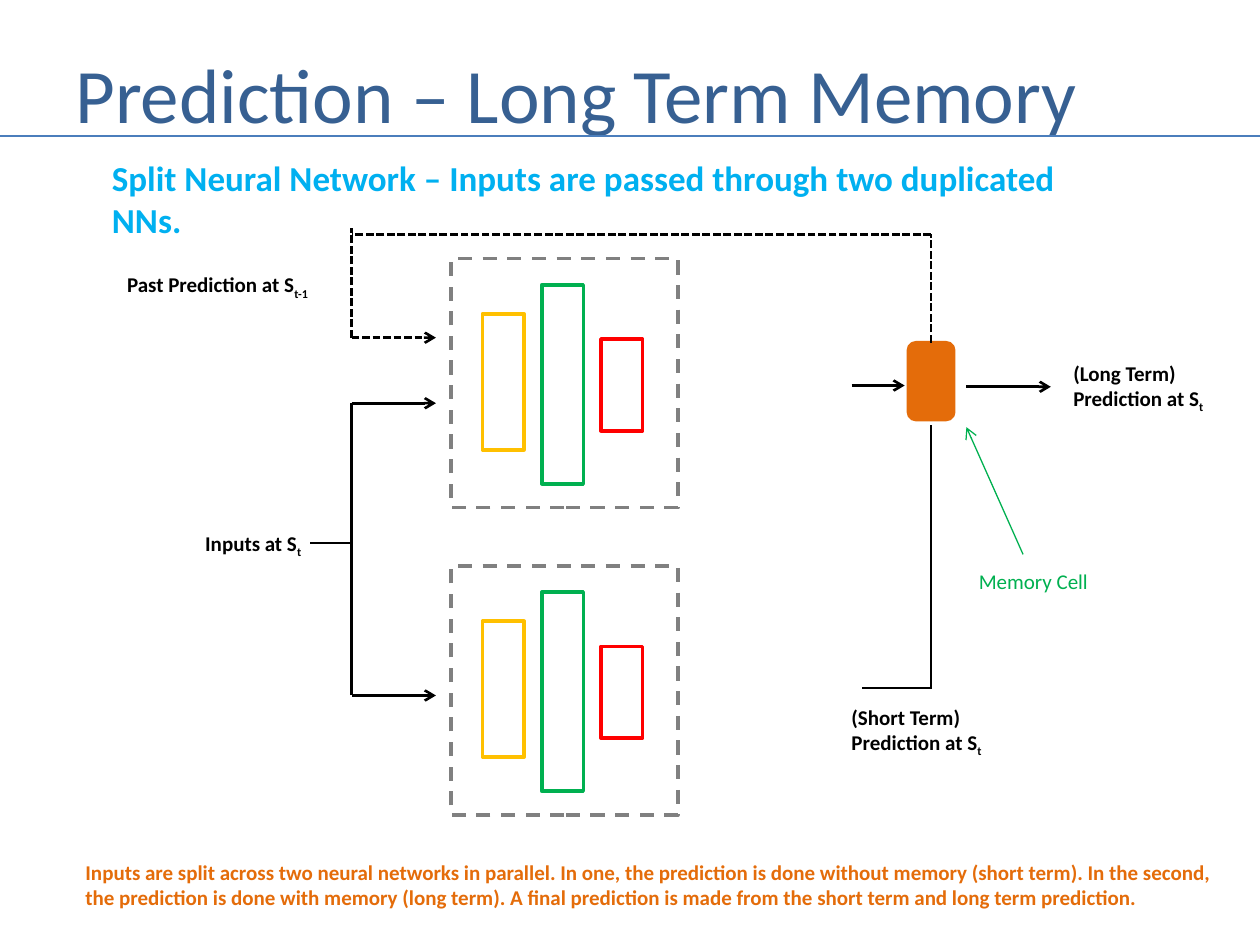
from pptx import Presentation
from pptx.util import Inches, Pt
from pptx.dml.color import RGBColor
from pptx.enum.dml import MSO_LINE
from pptx.enum.shapes import MSO_CONNECTOR, MSO_SHAPE
from pptx.enum.text import MSO_ANCHOR
from pptx.oxml.ns import qn
from lxml.etree import SubElement

INK = {
    "title": "376092", "rule": "4B7EBC", "sky": "00B0F0", "black": "000000",
    "gold": "FFC000", "green": "00B050", "red": "FF0000", "gray": "808080",
    "orange": "E46C0A",
}
HUE = {name: RGBColor.from_string(code) for name, code in INK.items()}

deck = Presentation()
deck.slide_width, deck.slide_height = Inches(10), Inches(7.5)
COL, ROW = deck.slide_width / 100, deck.slide_height / 75
slide = deck.slides.add_slide(deck.slide_layouts[6])
shapes = slide.shapes


def write(text, x, y, w, h, size, hue, bold=True, sub="", wrap=True):
    box = shapes.add_textbox(int(x * COL), int(y * ROW), int(w * COL), int(h * ROW))
    box.text_frame.word_wrap = wrap
    para = box.text_frame.paragraphs[0]
    para.text = text
    if sub:
        run = para.add_run()
        run.text = sub
        run._r.get_or_add_rPr().set("baseline", "-25000")
    font = para.font
    font.name, font.size, font.bold = "Calibri", Pt(size), bold
    font.color.rgb = HUE[hue]
    return box


def link(x1, y1, x2, y2, hue="black", width=1.5, dash=False, arrow=False):
    line = shapes.add_connector(
        MSO_CONNECTOR.STRAIGHT,
        int(x1 * COL), int(y1 * ROW), int(x2 * COL), int(y2 * ROW))
    line.line.color.rgb = HUE[hue]
    line.line.width = Pt(width)
    if dash:
        line.line.dash_style = MSO_LINE.SQUARE_DOT
    if arrow:
        SubElement(line.line._get_or_add_ln(), qn("a:tailEnd"), type="arrow")
    SubElement(line._element.spPr, qn("a:effectLst"))
    return line


title = write("Prediction – Long Term Memory", 5, 3, 90.8, 8.7, 44, "title", False)
title.text_frame.vertical_anchor = MSO_ANCHOR.MIDDLE
link(0, 10.8, 100, 10.8, "rule")
write("Split Neural Network – Inputs are passed through two duplicated NNs.",
      7.9, 11.9, 82, 4.4, 20, "sky")

parts = [
    (0, 0, 18, 19.8, "gray"),
    (2.5, 4.4, 3.3, 10.8, "gold"),
    (7.2, 2.1, 3.3, 15.8, "green"),
    (11.9, 6.4, 3.3, 7.3, "red"),
]
for top in (20.5, 44.9):
    for x, y, w, h, hue in parts:
        rect = shapes.add_shape(
            MSO_SHAPE.RECTANGLE,
            int((35.8 + x) * COL), int((top + y) * ROW), int(w * COL), int(h * ROW))
        rect.shadow.inherit = False
        rect.fill.background()
        rect.line.color.rgb = HUE[hue]
        rect.line.width = Pt(2)
        if hue == "gray":
            rect.line.dash_style = MSO_LINE.DASH

cell = shapes.add_shape(
    MSO_SHAPE.ROUNDED_RECTANGLE,
    int(72.1 * COL), int(27.2 * ROW), int(3.6 * COL), int(6.1 * ROW))
cell.shadow.inherit = False
cell.fill.solid()
cell.fill.fore_color.rgb = cell.line.color.rgb = HUE["orange"]
cell.line.width = Pt(2)

BUS, TIP, MID = 27.9, 34.6, 73.9
loop = link(MID, 27.2, MID, 18.6, dash=True)
loop.begin_connect(cell, 0)
link(MID, 18.6, BUS, 18.6, dash=True)
link(BUS, 26.8, BUS, 18.1, dash=True)
link(BUS, 26.8, TIP, 26.8, dash=True, arrow=True)

link(BUS, 55.2, BUS, 32)
link(BUS, 43.1, 24.6, 43.1)
for y in (32, 55.2):
    link(BUS, y, TIP, y, arrow=True)

link(67.6, 30.6, 71.8, 30.6, arrow=True)
link(76.7, 30.7, 83.4, 30.7, arrow=True)
link(MID, 54.6, 68.4, 54.6)
link(MID, 54.7, MID, 33.7)
link(81.2, 44, 76.7, 33.9, "green", 0.75, arrow=True)

for text, sub, x, y, w, h in [
    ("Past Prediction at S", "t-1", 9.1, 21.1, 17.5, 3),
    ("Inputs at S", "t", 15.3, 41.6, 10.8, 3),
    ("(Short Term) Prediction at S", "t", 66.6, 55.4, 13.4, 5),
    ("(Long Term) Prediction at S", "t", 84.2, 28.1, 13.4, 5),
]:
    write(text, x, y, w, h, 12, "black", sub=sub)
write("Memory Cell", 76.7, 44.6, 10.8, 3, 12, "green", False, wrap=False)
write("Inputs are split across two neural networks in parallel. In one, the prediction "
      "is done without memory (short term). In the second, \v"
      "the prediction is done with memory (long term). A final prediction is made "
      "from the short term and long term prediction.",
      5.8, 67.7, 93, 5, 12, "orange")

deck.save("out.pptx")
